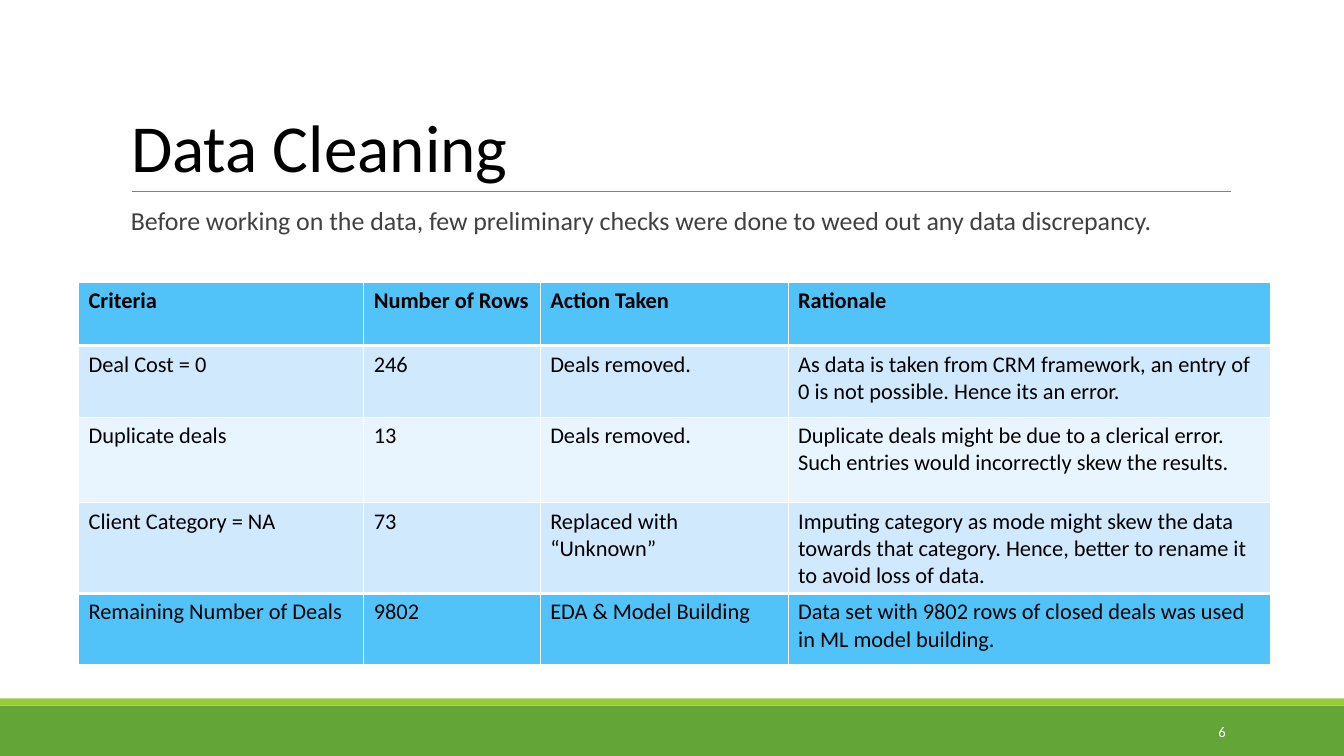
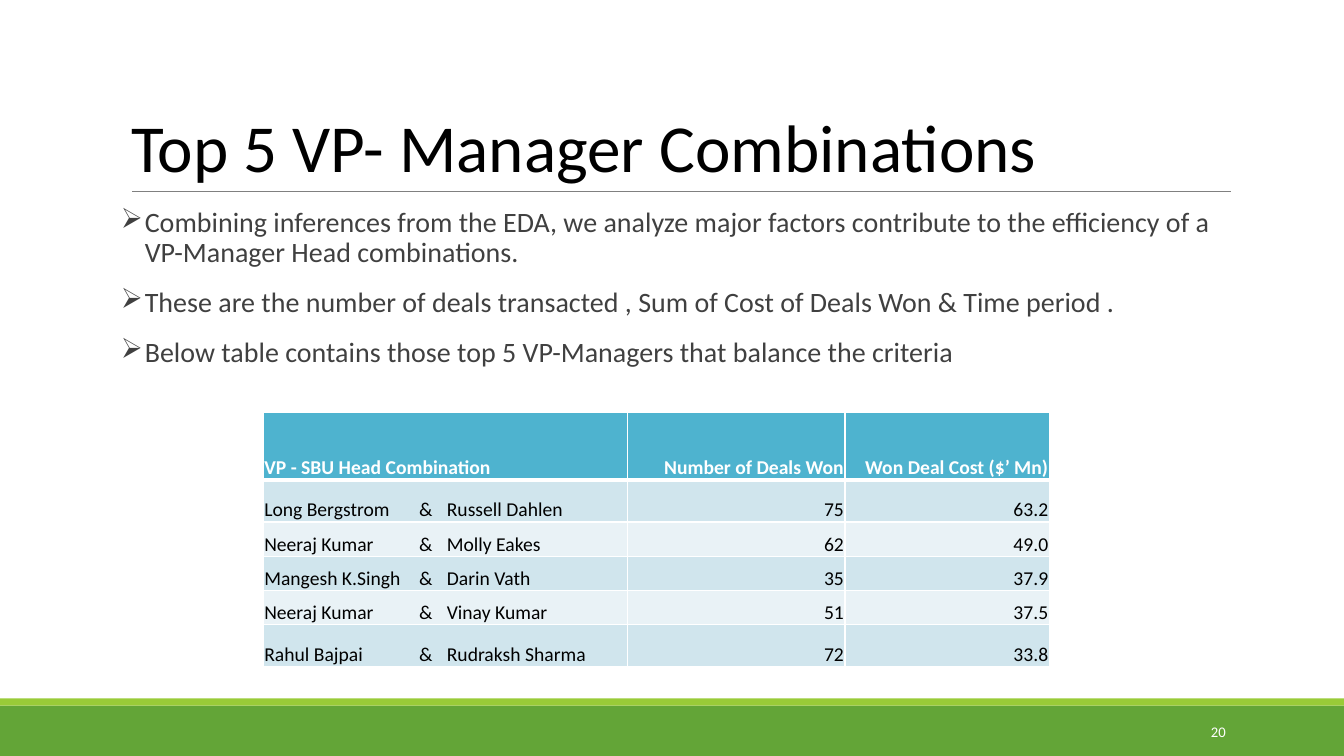
from lxml.etree import SubElement
from pptx import Presentation
from pptx.dml.color import RGBColor
from pptx.enum.shapes import MSO_CONNECTOR as Connector, MSO_SHAPE as Shape
from pptx.enum.text import MSO_ANCHOR as Anchor, MSO_AUTO_SIZE as AutoSize, PP_ALIGN as Align
from pptx.oxml.ns import qn
from pptx.util import Cm, Pt

FONT = "Calibri"
BLACK = RGBColor(0x00, 0x00, 0x00)
WHITE = RGBColor(0xFF, 0xFF, 0xFF)
BODY_GREY = RGBColor(0x40, 0x40, 0x40)
RULE_GREY = RGBColor(0x80, 0x80, 0x80)
GREEN = RGBColor(0x63, 0xA5, 0x37)
LIME = RGBColor(0x99, 0xCB, 0x38)
SKY = RGBColor(0x51, 0xC3, 0xF9)
SKY_BANDS = (RGBColor(0xD0, 0xE9, 0xFD), RGBColor(0xE9, 0xF5, 0xFE))
TEAL = RGBColor(0x4E, 0xB3, 0xCF)
TEAL_BANDS = (RGBColor(0xD0, 0xE5, 0xED), RGBColor(0xE9, 0xF2, 0xF6))

SLIDE_WIDTH, SLIDE_HEIGHT = 33.87, 19.05
TITLE_BOX = (3.05, 0.79, 27.94, 4.04)
NUMBER_BOX = (27.51, 17.93, 3.63, 1.02)
INTRO_BOX = (3.05, 5.13, 27.94, 1.57)
FINDINGS_BOX = (3.05, 5.13, 27.94, 5)
CLEANING_BOX = (1.98, 7.11, 30.05, 9.52)
RANKING_BOX = (6.63, 10.39, 19.82, 6.42)

CLEANING_ROWS = [
    ("Criteria", "Number of Rows", "Action Taken", "Rationale"),
    ("Deal Cost = 0", "246", "Deals removed.",
     "As data is taken from CRM framework, an entry of 0 is not possible. Hence its an error."),
    ("Duplicate deals", "13", "Deals removed.",
     "Duplicate deals might be due to a clerical error. Such entries would incorrectly skew the results."),
    ("Client Category = NA", "73", "Replaced with “Unknown”",
     "Imputing category as mode might skew the data towards that category. "
     "Hence, better to rename it to avoid loss of data."),
    ("Remaining Number of Deals", "9802", "EDA & Model Building",
     "Data set with 9802 rows of closed deals was used in ML model building."),
]
RANKING_ROWS = [
    ("VP - SBU Head Combination", "Number of Deals Won", "Won Deal Cost ($’ Mn)"),
    ("Long Bergstrom\t&\tRussell Dahlen", "75", "63.2"),
    ("Neeraj Kumar\t&\tMolly Eakes", "62", "49.0"),
    ("Mangesh K.Singh\t&\tDarin Vath", "35", "37.9"),
    ("Neeraj Kumar\t&\tVinay Kumar", "51", "37.5"),
    ("Rahul Bajpai\t&\tRudraksh Sharma", "72", "33.8"),
]
FINDINGS = [
    "Combining inferences from the EDA, we analyze major factors contribute to the efficiency of a "
    "VP-Manager Head combinations.",
    "These are the number of deals transacted , Sum of Cost of Deals Won & Time period .",
    "Below table contains those top 5 VP-Managers that balance the criteria",
]


def lengths(box):
    """Turn a box in centimetres into lengths."""
    return [Cm(side) for side in box]


def write(paragraph, text, size=16, color=BLACK, bold=False, align=Align.LEFT,
          spacing=None, before=None, after=None, bullet=None, hang=0, tabs=()):
    """Write formatted text into a paragraph."""
    run = paragraph.add_run()
    run.text = text
    run.font.name, run.font.size, run.font.bold = FONT, Pt(size), bold
    run.font.color.rgb = color
    paragraph.alignment = align
    if spacing:
        paragraph.line_spacing = spacing
    if before is not None:
        paragraph.space_before, paragraph.space_after = Pt(before), Pt(after)
    properties = paragraph._p.get_or_add_pPr()
    if bullet:
        properties.set("marL", str(Cm(hang)))
        properties.set("indent", str(-Cm(hang)))
        SubElement(properties, qn("a:buChar"), char=bullet)
    if tabs:
        stops = SubElement(properties, qn("a:tabLst"))
        for stop in tabs:
            SubElement(stops, qn("a:tab"), pos=str(Cm(stop)), algn="l")


def add_text(slide, box, lines, left=0.0, anchor=Anchor.TOP, **style):
    """Place a wrapped text box with one paragraph per line."""
    frame = slide.shapes.add_textbox(*lengths(box)).text_frame
    frame.word_wrap = True
    frame.vertical_anchor = anchor
    frame.margin_left = Cm(left)
    for index, line in enumerate(lines):
        paragraph = frame.add_paragraph() if index else frame.paragraphs[0]
        write(paragraph, line, **style)


def add_body(slide, box, lines, **style):
    """Place body text in the shared paragraph style."""
    add_text(slide, box, lines, color=BODY_GREY, spacing=0.9, before=12, after=2, **style)


def add_band(slide, top, height, color):
    """Draw a full-width footer band."""
    band = slide.shapes.add_shape(Shape.RECTANGLE, *lengths((0, top, SLIDE_WIDTH, height)))
    band.shadow.inherit = False
    band.fill.solid()
    band.fill.fore_color.rgb = color
    band.line.fill.background()


def add_page(deck, title, number):
    """Add a slide with the shared title, rule, bands and page number."""
    slide = deck.slides.add_slide(deck.slide_layouts[5])
    add_band(slide, 17.78, SLIDE_HEIGHT - 17.78, GREEN)
    add_band(slide, 17.6, 0.18, LIME)
    rule = slide.shapes.add_connector(
        Connector.STRAIGHT, Cm(3.33), Cm(4.83), Cm(31.01), Cm(4.83))
    rule.line.color.rgb, rule.line.width = RULE_GREY, Pt(0.5)
    SubElement(rule._element.spPr, qn("a:effectLst"))
    heading = slide.shapes.title
    heading.left, heading.top, heading.width, heading.height = lengths(TITLE_BOX)
    frame = heading.text_frame
    frame.word_wrap, frame.auto_size = True, AutoSize.NONE
    frame.vertical_anchor = Anchor.BOTTOM
    write(frame.paragraphs[0], title, size=48, spacing=0.85)
    add_text(slide, NUMBER_BOX, [number], anchor=Anchor.MIDDLE,
             size=10.5, color=WHITE, align=Align.RIGHT)
    return slide


def set_borders(cell, top, bottom):
    """Give a cell white borders of the stated top and bottom widths."""
    properties = cell._tc.get_or_add_tcPr()
    for place, (side, width) in enumerate((("L", 1), ("R", 1), ("T", top), ("B", bottom))):
        border = properties.makeelement(qn("a:ln" + side), {"w": str(Pt(width))})
        fill = SubElement(border, qn("a:solidFill"))
        SubElement(fill, qn("a:srgbClr"), val=str(WHITE))
        properties.insert(place, border)


def add_grid(slide, box, rows, column_shares, row_shares, accent, bands,
             total=False, tight=False, head_color=BLACK, size=16, tabs=()):
    """Fill the box with a banded table, with an optional total row."""
    grid = slide.shapes.add_table(len(rows), len(rows[0]), *lengths(box)).table
    for column, share in zip(grid.columns, column_shares):
        column.width = Cm(box[2] * share / sum(column_shares))
    for row, share in zip(grid.rows, row_shares):
        row.height = Cm(box[3] * share / sum(row_shares))
    last = len(rows) - 1
    for r, values in enumerate(rows):
        is_head, is_total = r == 0, total and r == last
        for c, value in enumerate(values):
            cell = grid.cell(r, c)
            cell.fill.solid()
            cell.fill.fore_color.rgb = accent if is_head or is_total else bands[(r - 1) % 2]
            set_borders(cell, top=3 if is_total or r == 1 else 1,
                        bottom=3 if is_head or (total and r == last - 1) else 1)
            if tight:
                cell.vertical_anchor = Anchor.BOTTOM
                cell.margin_left = cell.margin_right = cell.margin_top = Cm(0.03)
                cell.margin_bottom = 0
            write(cell.text_frame.paragraphs[0], value, size=size, bold=is_head,
                  color=head_color if is_head else BLACK,
                  align=Align.RIGHT if tight and c else Align.LEFT,
                  tabs=tabs if "\t" in value else ())


def cleaning_slide(deck):
    """Build the slide on data cleaning."""
    slide = add_page(deck, "Data Cleaning", "6")
    add_grid(slide, CLEANING_BOX, CLEANING_ROWS, (2.83, 1.75, 2.46, 4.79),
             (0.63, 0.71, 0.85, 0.85, 0.71), SKY, SKY_BANDS, total=True)
    add_body(slide, INTRO_BOX, [
        "Before working on the data, few preliminary checks were done to weed out any data discrepancy.",
    ], left=0.25, size=18.5)


def ranking_slide(deck):
    """Build the slide on the leading pairs."""
    slide = add_page(deck, "Top 5 VP- Manager Combinations", "20")
    add_body(slide, FINDINGS_BOX, FINDINGS, size=20, bullet="➢", hang=0.6)
    add_grid(slide, RANKING_BOX, RANKING_ROWS, (3.62, 2.16, 2.03),
             (0.67, 0.42, 0.34, 0.34, 0.34, 0.42), TEAL, TEAL_BANDS,
             tight=True, head_color=WHITE, size=14, tabs=(3.9, 4.6))


def main():
    """Build and save the deck."""
    deck = Presentation()
    deck.slide_width, deck.slide_height = Cm(SLIDE_WIDTH), Cm(SLIDE_HEIGHT)
    cleaning_slide(deck)
    ranking_slide(deck)
    deck.save("out.pptx")


main()
